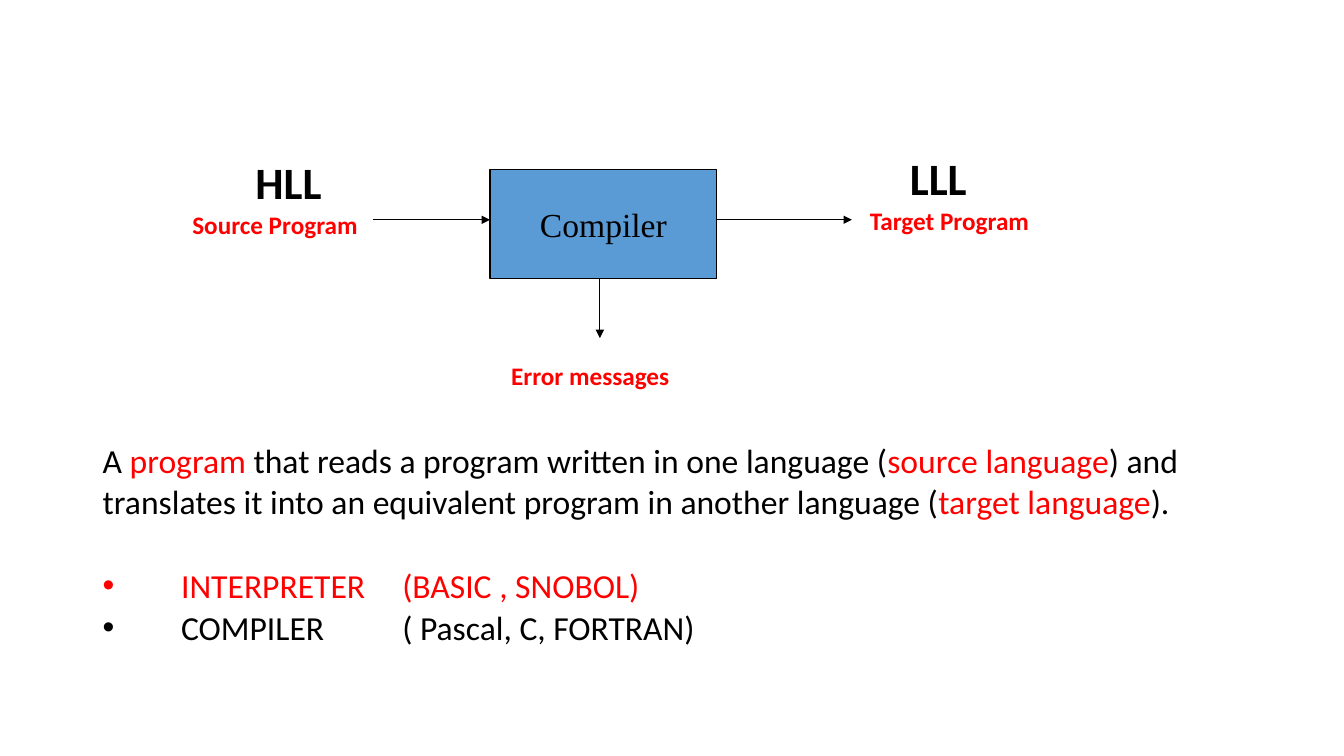
import pptx
import pptx.util
import pptx.dml.color
import pptx.enum.shapes
import pptx.enum.text
from lxml import etree

Pt = pptx.util.Pt
NS = "http://schemas.openxmlformats.org/drawingml/2006/main"
COLORS = {"black": "000000", "red": "FF0000", "blue": "5B9BD5"}


def rgb(name):
    """Return the named colour."""
    return pptx.dml.color.RGBColor.from_string(COLORS[name])


def sub(parent, tag, **attrs):
    """Append a DrawingML element."""
    return etree.SubElement(parent, f"{{{NS}}}{tag}", **attrs)


def add_run(p, text, size=24, color="black", bold=False, font="Calibri"):
    """Add a formatted run to a paragraph."""
    r = p.add_run()
    r.text = text
    r.font.size = Pt(size)
    r.font.bold = bold
    r.font.name = font
    r.font.color.rgb = rgb(color)


def add_text_box(s, x, y, w, h, inset=True):
    """Add a wrapping text box and return its frame."""
    tf = s.shapes.add_textbox(Pt(x), Pt(y), Pt(w), Pt(h)).text_frame
    tf.word_wrap = True
    if not inset:
        tf.margin_left = tf.margin_right = tf.margin_top = tf.margin_bottom = 0
    return tf


def add_arrow(s, x1, y1, x2, y2):
    """Draw a thin black arrow."""
    c = s.shapes.add_connector(
        pptx.enum.shapes.MSO_CONNECTOR.STRAIGHT, Pt(x1), Pt(y1), Pt(x2), Pt(y2))
    c.line.color.rgb = rgb("black")
    c.line.width = Pt(0.75)
    sub(c.line._get_or_add_ln(), "tailEnd", type="triangle")
    sub(c._element.spPr, "effectLst")


def add_label(s, x, y, level, indent, caption):
    """Place a language level above its program caption."""
    tf = add_text_box(s, x, y, 146, 67.5)
    p = tf.paragraphs[0]
    p._p.get_or_add_pPr().set("marL", str(Pt(indent)))
    add_run(p, level, size=32, bold=True)
    add_run(tf.add_paragraph(), caption, size=18, color="red", bold=True)


def add_diagram(s, x, y, w, h):
    """Draw the compiler box with its input, output and errors."""
    sp = s.shapes.add_shape(
        pptx.enum.shapes.MSO_SHAPE.RECTANGLE, Pt(x), Pt(y), Pt(w), Pt(h))
    sp.shadow.inherit = False
    sp.fill.solid()
    sp.fill.fore_color.rgb = rgb("blue")
    sp.line.color.rgb = rgb("black")
    sp.line.width = Pt(0.75)
    tf = sp.text_frame
    tf.word_wrap = False
    tf.vertical_anchor = pptx.enum.text.MSO_ANCHOR.MIDDLE
    p = tf.paragraphs[0]
    p.alignment = pptx.enum.text.PP_ALIGN.CENTER
    add_run(p, "Compiler", font="Times New Roman")

    flow_y, error_x = y + 36, x + 78.5
    add_arrow(s, x - 83.5, flow_y, x, flow_y)
    add_arrow(s, x + w, flow_y, x + w + 96.5, flow_y)
    add_arrow(s, error_x, y + h, error_x, y + h + 42.5)

    add_label(s, x - 219.7, y - 13.7, "HLL", 45, "Source Program")
    add_label(s, x + 264.2, y - 16.6, "LLL", 28.6, "Target Program")
    tf = add_text_box(s, x + 8, y + 132.5, 146, 29)
    add_run(tf.paragraphs[0], "Error messages", size=18, color="red", bold=True)


def add_definition(s, x, y, w, h):
    """Write the definition and the two kinds of translator."""
    pitch, indent, tab = 29.8, 56, 214
    tf = add_text_box(s, x, y, w, h, inset=False)
    lines = [
        [("A ", "black"), ("program ", "red"),
         ("that reads a program written in one language (", "black"),
         ("source language", "red"), (") and", "black")],
        [("translates it into an equivalent program in another language (", "black"),
         ("target language", "red"), (").", "black")],
        [("INTERPRETER\t(BASIC , SNOBOL)", "red")],
        [("COMPILER\t( Pascal, C, FORTRAN)", "black")],
    ]
    for i, runs in enumerate(lines):
        p = tf.paragraphs[0] if i == 0 else tf.add_paragraph()
        p.line_spacing = Pt(pitch)
        p.space_before = Pt(pitch if i == 2 else 0)
        if i >= 2:
            pPr = p._p.get_or_add_pPr()
            pPr.set("marL", str(Pt(indent)))
            pPr.set("indent", str(-Pt(indent)))
            sub(pPr, "buFont", typeface="Arial")
            sub(pPr, "buChar", char="•")
            sub(sub(pPr, "tabLst"), "tab", pos=str(Pt(tab)), algn="l")
        for text, color in runs:
            add_run(p, text, color=color)


def main():
    """Build and save the slide."""
    prs = pptx.Presentation()
    prs.slide_width, prs.slide_height = Pt(960), Pt(540)
    s = prs.slides.add_slide(prs.slide_layouts[6])
    add_definition(s, 73.4, 313, 813.6, 150)
    add_diagram(s, 350, 121, 162, 78)
    prs.save("out.pptx")


if __name__ == "__main__":
    main()
